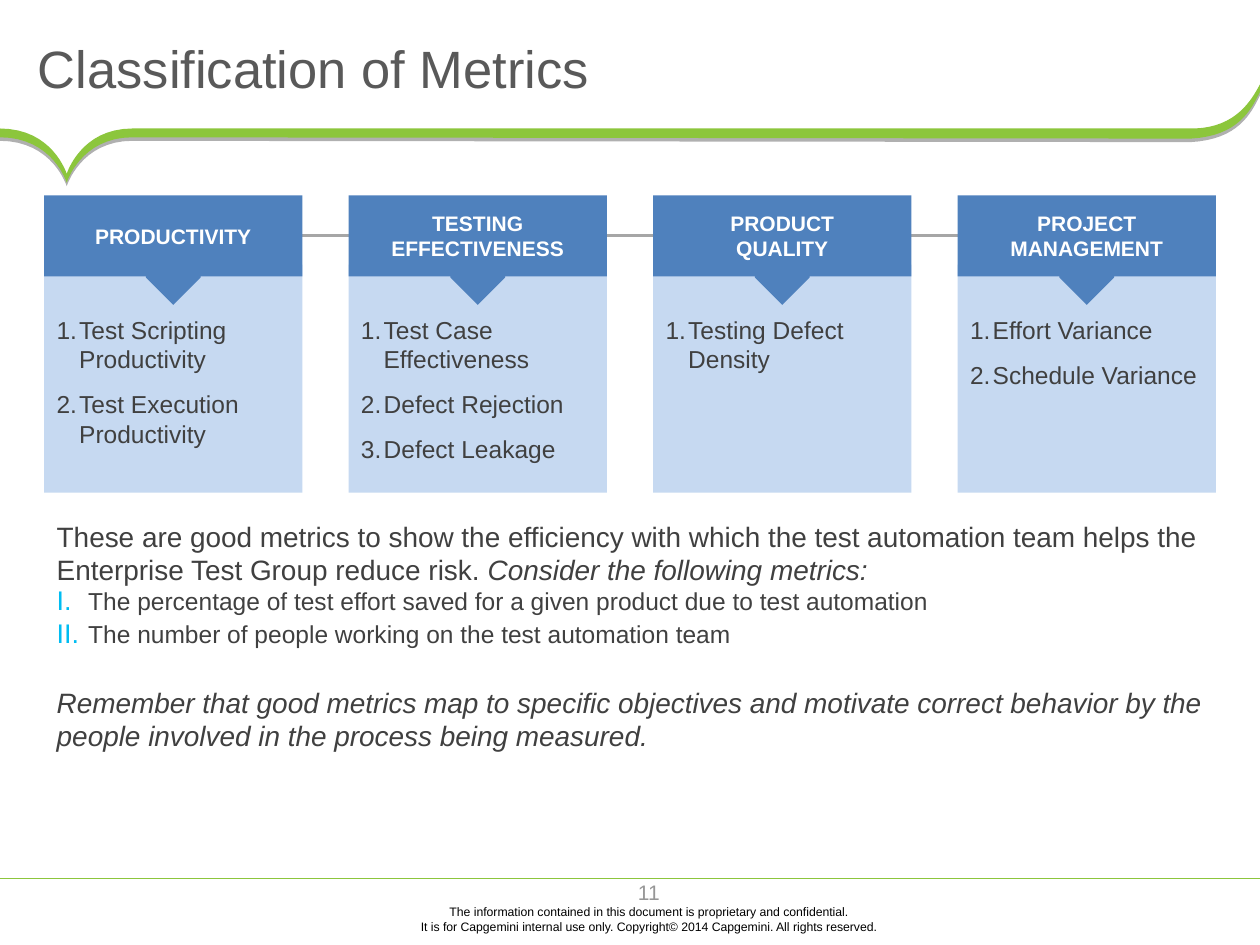
from lxml import etree
from pptx import Presentation
from pptx import util as u
from pptx.dml.color import RGBColor
from pptx.enum import shapes, text
from pptx.oxml import ns

GREEN, BLUE, PALE_BLUE, CYAN = "8CC63C", "4F81BD", "C6D9F1", "00BDF2"
WHITE, BLACK, DARK, TITLE_GREY = "FFFFFF", "000000", "404040", "595959"
LINE_GREY, NUMBER_GREY = "A6A6A6", "979797"

COLUMNS = [
    (["PRODUCTIVITY"],
     ["Test Scripting Productivity", "Test Execution Productivity"]),
    (["TESTING", "EFFECTIVENESS"],
     ["Test Case Effectiveness", "Defect Rejection", "Defect Leakage"]),
    (["PRODUCT", "QUALITY"], ["Testing Defect Density"]),
    (["PROJECT", "MANAGEMENT"], ["Effort Variance", "Schedule Variance"]),
]


def color(value):
    return RGBColor.from_string(value)


def add_xml(parent, tag, **attributes):
    return etree.SubElement(parent, ns.qn(tag), attributes)


def curve(start, control1, control2, end, steps=16):
    """Points along a cubic curve, without its start."""
    points = []
    for step in range(1, steps + 1):
        t = step / steps
        weights = ((1 - t) ** 3, 3 * t * (1 - t) ** 2, 3 * t * t * (1 - t), t ** 3)
        corners = (start, control1, control2, end)
        points.append(tuple(sum(w * c[axis] for w, c in zip(weights, corners))
                            for axis in (0, 1)))
    return points


class SlideBuilder:
    font_name = "Arial"

    def __init__(self, slide):
        self.slide = slide

    def font(self, paragraph, size, hex_color, bold=False):
        font = paragraph.font
        font.name, font.size, font.bold = self.font_name, u.Pt(size), bold
        font.color.rgb = color(hex_color)

    def frame(self, shape, insets, anchor):
        frame = shape.text_frame
        frame.word_wrap = True
        frame.auto_size = text.MSO_AUTO_SIZE.NONE
        frame.vertical_anchor = anchor
        (frame.margin_left, frame.margin_top,
         frame.margin_right, frame.margin_bottom) = map(u.Inches, insets)
        return frame

    def place(self, shape, left, top, width, height):
        shape.left, shape.top = u.Inches(left), u.Inches(top)
        shape.width, shape.height = u.Inches(width), u.Inches(height)

    def paragraphs(self, frame, lines):
        for index, line in enumerate(lines):
            paragraph = frame.paragraphs[0] if index == 0 else frame.add_paragraph()
            paragraph.text = line
            yield index, paragraph

    def number(self, paragraph, scheme, hex_color, indent, percent=100):
        properties = paragraph._p.get_or_add_pPr()
        properties.set("marL", str(u.Inches(indent)))
        properties.set("indent", str(-u.Inches(indent)))
        add_xml(add_xml(properties, "a:buClr"), "a:srgbClr", val=hex_color)
        add_xml(properties, "a:buSzPct", val=str(percent * 1000))
        add_xml(properties, "a:buFont", typeface=self.font_name)
        add_xml(properties, "a:buAutoNum", type=scheme)

    def plain(self, paragraph):
        properties = paragraph._p.get_or_add_pPr()
        properties.set("marL", "0")
        properties.set("indent", "0")
        add_xml(properties, "a:buNone")

    def filled(self, shape, fill):
        shape.shadow.inherit = False
        shape.fill.solid()
        shape.fill.fore_color.rgb = color(fill)
        shape.line.fill.background()
        return shape

    def box(self, kind, left, top, width, height, fill):
        shape = self.slide.shapes.add_shape(
            kind, *map(u.Inches, (left, top, width, height)))
        return self.filled(shape, fill)

    def line(self, x1, y1, x2, y2, hex_color, width):
        connector = self.slide.shapes.add_connector(
            shapes.MSO_CONNECTOR.STRAIGHT, *map(u.Inches, (x1, y1, x2, y2)))
        connector.line.color.rgb = color(hex_color)
        connector.line.width = u.Pt(width)
        add_xml(connector._element.spPr, "a:effectLst")

    def ribbon(self, points, fill):
        # The builder rounds to whole units, so lengths go in as EMU
        start, *others = [(u.Inches(x), u.Inches(y)) for x, y in points]
        builder = self.slide.shapes.build_freeform(*start)
        builder.add_line_segments(others, close=True)
        shape = self.filled(builder.convert_to_shape(), fill)
        effects = shape._element.spPr.find(ns.qn("a:effectLst"))
        shadow = add_xml(effects, "a:outerShdw", blurRad="0", dist=str(u.Pt(2)),
                         dir="5400000", algn="t", rotWithShape="0")
        shade = add_xml(shadow, "a:srgbClr", val=BLACK)
        add_xml(shade, "a:alpha", val="31000")

    def label(self, content, left, top, width, height, size, hex_color):
        shape = self.slide.shapes.add_textbox(
            *map(u.Inches, (left, top, width, height)))
        frame = self.frame(shape, (0, 0, 0, 0), text.MSO_ANCHOR.MIDDLE)
        for _, paragraph in self.paragraphs(frame, [content]):
            paragraph.alignment = text.PP_ALIGN.CENTER
            self.font(paragraph, size, hex_color)

    def title(self, content):
        shape = self.slide.shapes.title
        self.place(shape, 0.2, 0.15, 9.3, 0.78)
        frame = self.frame(shape, (0.1, 0.05, 0.1, 0.05), text.MSO_ANCHOR.MIDDLE)
        for _, paragraph in self.paragraphs(frame, [content]):
            paragraph.alignment = text.PP_ALIGN.LEFT
            self.font(paragraph, 30, TITLE_GREY)

    def column(self, left, heading, metrics):
        width = 2.05
        panel = self.box(shapes.MSO_SHAPE.RECTANGLE, left, 2.1, width, 1.81, PALE_BLUE)
        frame = self.frame(panel, (0.1, 0.4, 0.1, 0.05), text.MSO_ANCHOR.TOP)
        for index, paragraph in self.paragraphs(frame, metrics):
            paragraph.alignment = text.PP_ALIGN.LEFT
            paragraph.space_before = u.Pt(8.8 if index else 0)
            self.number(paragraph, "arabicPeriod", DARK, 0.18)
            self.font(paragraph, 14, DARK)

        callout = self.box(shapes.MSO_SHAPE.DOWN_ARROW_CALLOUT,
                           left, 1.55, width, 0.87, BLUE)
        for index, value in enumerate((0.5, 0.25, 0.25, 0.74)):
            callout.adjustments[index] = value
        frame = self.frame(callout, (0.1, 0.05, 0.1, 0.05), text.MSO_ANCHOR.MIDDLE)
        for _, paragraph in self.paragraphs(frame, heading):
            paragraph.alignment = text.PP_ALIGN.CENTER
            self.font(paragraph, 12, WHITE, bold=True)

    def body(self, intro, prompt, items, closing):
        shape = self.slide.placeholders[1]
        self.place(shape, 0.35, 4.07, 9.32, 1.96)
        frame = self.frame(shape, (0.1, 0.05, 0.1, 0.05), text.MSO_ANCHOR.TOP)
        last = len(items) + 1
        for index, paragraph in self.paragraphs(frame, [intro, *items, closing]):
            is_item = 0 < index < last
            paragraph.space_before = u.Pt(19 if index == last else 0)
            paragraph.space_after = u.Pt(2 if is_item else 0)
            if is_item:
                paragraph.level = 1
                self.number(paragraph, "romanUcPeriod", CYAN, 0.25, 110)
            else:
                self.plain(paragraph)
            self.font(paragraph, 14 if is_item else 16, DARK)
        run = frame.paragraphs[0].add_run()
        run.text = prompt
        run.font.italic = True
        frame.paragraphs[-1].font.italic = True


def main():
    presentation = Presentation()
    presentation.slide_width, presentation.slide_height = u.Inches(10), u.Inches(7.5)
    builder = SlideBuilder(presentation.slides.add_slide(presentation.slide_layouts[1]))

    # Green ribbon with its pointer and rising end
    builder.ribbon([
        (9.48, 1.02), (1.05, 1.02),
        *curve((1.05, 1.02), (0.64, 1.02), (0.53, 1.38), (0.53, 1.38)),
        *curve((0.53, 1.38), (0.53, 1.38), (0.42, 1.02), (0, 1.02)),
        (0, 1.09),
        *curve((0, 1.09), (0.42, 1.09), (0.53, 1.45), (0.53, 1.45)),
        *curve((0.53, 1.45), (0.53, 1.45), (0.64, 1.09), (1.05, 1.09)),
        (9.45, 1.1),
        *curve((9.45, 1.1), (9.83, 1.08), (9.93, 0.87), (10, 0.73)),
        (10, 0.67),
        *curve((10, 0.67), (9.94, 0.78), (9.82, 1.01), (9.48, 1.02)),
    ], GREEN)

    # Footer
    builder.line(0, 6.97, 10, 6.97, GREEN, 0.5)
    builder.label("The information contained in this document is proprietary and "
                  "confidential.\vIt is for Capgemini internal use only. "
                  "Copyright© 2014 Capgemini. All rights reserved.",
                  2.57, 7.16, 5.16, 0.27, 7, BLACK)
    builder.label("11", 4.77, 6.98, 0.76, 0.2, 12, NUMBER_GREY)

    # Title and metric columns
    builder.title("Classification of Metrics")
    first, last = 0.35, 7.6
    builder.line(2.4, 1.87, last, 1.87, LINE_GREY, 2)
    pitch = (last - first) / (len(COLUMNS) - 1)
    for index, (heading, metrics) in enumerate(COLUMNS):
        builder.column(first + index * pitch, heading, metrics)

    # Explanation
    builder.body(
        "These are good metrics to show the efficiency with which the test automation "
        "team helps the Enterprise Test Group reduce risk. ",
        "Consider the following metrics:",
        ["The percentage of test effort saved for a given product due to test automation",
         "The number of people working on the test automation team"],
        "Remember that good metrics map to specific objectives and motivate correct "
        "behavior by the people involved in the process being measured.")

    presentation.save("out.pptx")


if __name__ == "__main__":
    main()
